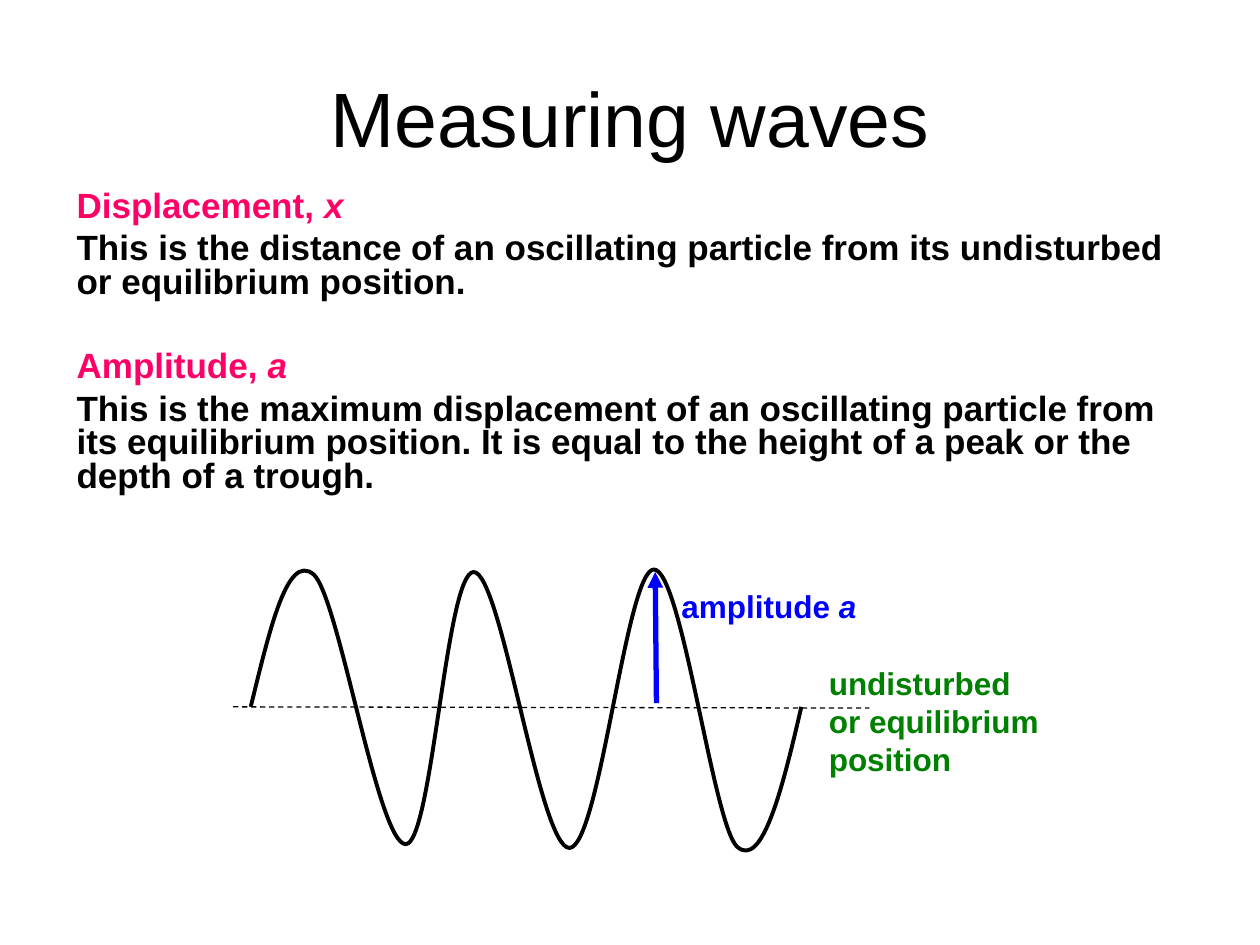
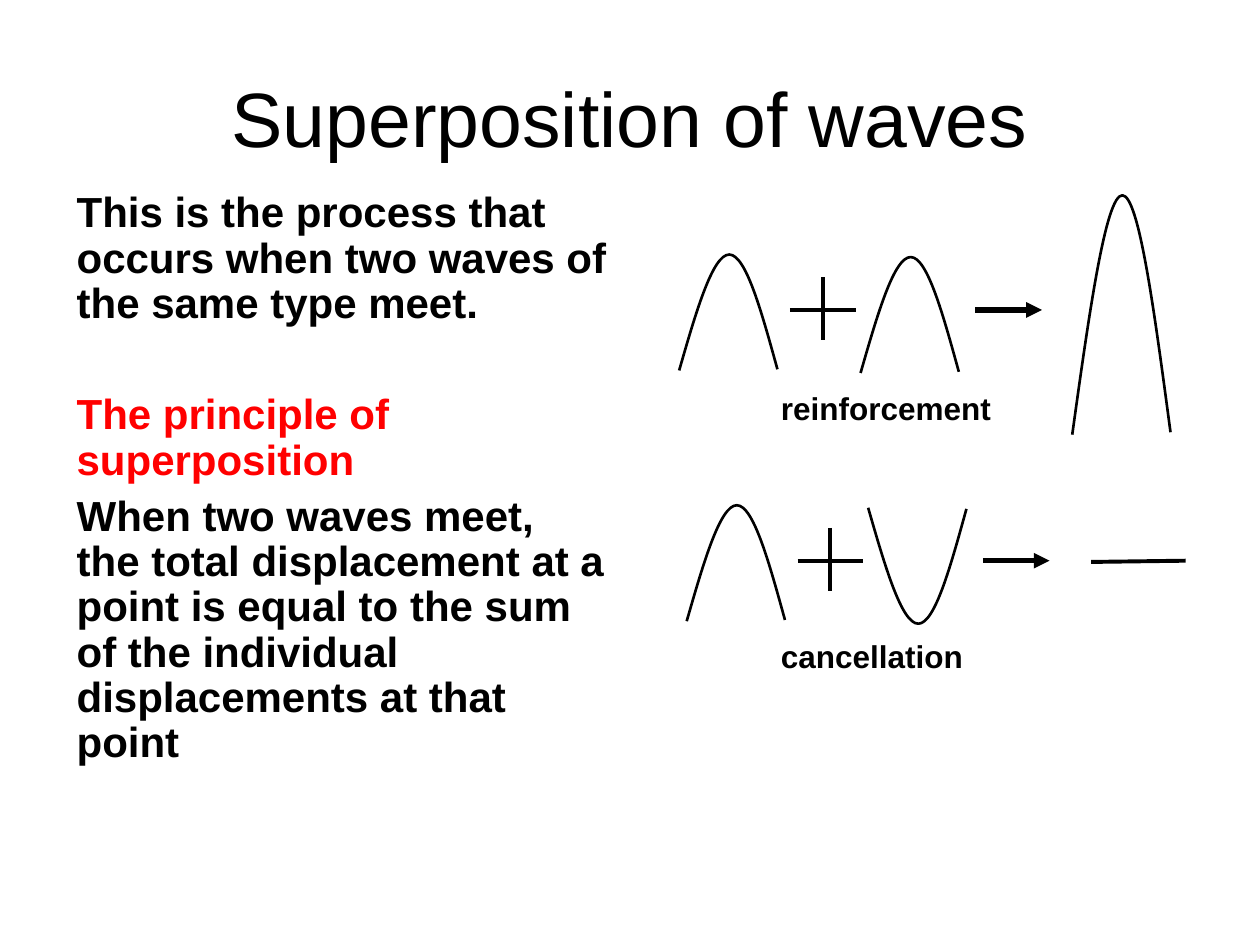
from lxml import etree
from pptx import Presentation
from pptx.dml.color import RGBColor
from pptx.enum.dml import MSO_LINE
from pptx.enum.shapes import MSO_CONNECTOR
from pptx.enum.text import MSO_ANCHOR, PP_ALIGN
from pptx.oxml.ns import qn
from pptx.util import Inches, Pt

STRAIGHT = MSO_CONNECTOR.STRAIGHT
DASH = MSO_LINE.DASH
MIDDLE, TOP = MSO_ANCHOR.MIDDLE, MSO_ANCHOR.TOP
CENTER, LEFT = PP_ALIGN.CENTER, PP_ALIGN.LEFT

BLACK = RGBColor(0x00, 0x00, 0x00)
PINK = RGBColor(0xFF, 0x00, 0x66)
RED = RGBColor(0xFF, 0x00, 0x00)
BLUE = RGBColor(0x00, 0x00, 0xFF)
GREEN = RGBColor(0x00, 0x80, 0x00)

FONT = "Arial"
PULSE = [(0, 1), (0.17, 0.5), (0.34, 0), (0.51, 0), (0.68, 0), (0.84, 0.5), (1, 0.99)]
WAVE = [
    (0, 1.23), (0.15, 0.62), (0.29, 0), (0.5, 0.18),
    (0.7, 0.36), (1.01, 2.32), (1.23, 2.32),
    (1.44, 2.32), (1.55, 0.16), (1.77, 0.16),
    (1.99, 0.16), (2.29, 2.35), (2.53, 2.35),
    (2.77, 2.34), (2.98, 0.14), (3.2, 0.14),
    (3.42, 0.14), (3.67, 2.16), (3.86, 2.34),
    (4.06, 2.52), (4.22, 1.88), (4.37, 1.23),
]


def add_text(slide, box, lines, size, bold=True, align=LEFT, anchor=TOP, spacing=None):
    """Add a text box from lines of (text, italic ending, colour, space before)."""
    shape = slide.shapes.add_textbox(*map(Inches, box))
    frame = shape.text_frame
    frame.word_wrap = True
    frame.vertical_anchor = anchor
    for index, (text, italic_ending, color, space_before) in enumerate(lines):
        paragraph = frame.paragraphs[0] if index == 0 else frame.add_paragraph()
        paragraph.alignment = align
        paragraph.space_before = Pt(space_before)
        if spacing:
            paragraph.line_spacing = spacing
        paragraph.add_run().text = text
        if italic_ending:
            ending = paragraph.add_run()
            ending.text = italic_ending
            ending.font.italic = True
        font = paragraph.font
        font.name, font.size, font.bold = FONT, Pt(size), bold
        font.color.rgb = color


def add_title(slide, text):
    """Add the centred slide title."""
    add_text(slide, (0.5, 0.3, 9, 1.25), [(text, "", BLACK, 0)], 44,
             bold=False, align=CENTER, anchor=MIDDLE)


def add_line(slide, start, end, width, color=BLACK, dash=None, arrow=False):
    """Add a straight line, with an arrowhead at its end on request."""
    connector = slide.shapes.add_connector(STRAIGHT, *map(Inches, (*start, *end)))
    connector.line.color.rgb = color
    connector.line.width = Pt(width)
    if dash:
        connector.line.dash_style = dash
    if arrow:
        outline = connector.line._get_or_add_ln()
        etree.SubElement(outline, qn("a:tailEnd"), type="triangle")
    etree.SubElement(connector._element.spPr, qn("a:effectLst"))


def bend_segments(curve):
    """Turn every three line segments of a freeform into one cubic Bezier."""
    segments = list(curve._element.iter(qn("a:lnTo")))
    for first in range(0, len(segments), 3):
        bezier = etree.Element(qn("a:cubicBezTo"))
        segments[first].addprevious(bezier)
        for segment in segments[first:first + 3]:
            bezier.append(segment[0])
            segment.getparent().remove(segment)


def add_curve(slide, left, top, controls, width):
    """Draw an open, unfilled curve with controls relative to left and top."""
    points = [(Inches(left + x), Inches(top + y)) for x, y in controls]
    builder = slide.shapes.build_freeform(*points[0])
    builder.add_line_segments(points[1:], close=False)
    curve = builder.convert_to_shape()
    bend_segments(curve)
    curve.shadow.inherit = False
    curve.fill.background()
    curve.line.color.rgb = BLACK
    curve.line.width = Pt(width)


def add_pulse(slide, left, top, height=0.92, inverted=False):
    """Draw a single crest, or a trough when inverted."""
    controls = [(0.78 * x, height * (1 - y if inverted else y)) for x, y in PULSE]
    add_curve(slide, left, top, controls, 1.5)


def add_amplitude_diagram(slide, left, top):
    """Draw the wave with its equilibrium line and amplitude arrow."""
    add_line(slide, (left, top + 1.23), (left + 5.05, top + 1.24), 0.75, dash=DASH)
    add_line(slide, (left + 3.36, top + 1.2), (left + 3.35, top + 0.16), 3, BLUE, arrow=True)
    add_text(slide, (left + 3.46, top + 0.23, 1.81, 0.44), [("amplitude ", "a", BLUE, 0)], 18)
    equilibrium = ("undisturbed", "or equilibrium", "position")
    add_text(slide, (left + 4.63, top + 0.84, 1.9, 1.12),
             [(text, "", GREEN, 0) for text in equilibrium], 18)
    add_curve(slide, left + 0.14, top, WAVE, 2.25)


def add_pulse_sum(slide, left, top, inverted=False):
    """Draw pulse plus pulse and the arrow leading to their result."""
    middle = top + 0.44
    add_pulse(slide, left, top)
    add_line(slide, (left + 1.14, top + 0.18), (left + 1.14, top + 0.68), 2.25)
    add_line(slide, (left + 0.88, middle), (left + 1.4, middle), 2.25)
    add_line(slide, (left + 2.35, middle), (left + 2.88, middle), 3, arrow=True)
    add_pulse(slide, left + 1.44, top + 0.02, inverted=inverted)


def add_superposition_diagram(slide, left, top):
    """Draw reinforcement above cancellation."""
    add_pulse_sum(slide, left, top + 0.47)
    add_pulse(slide, left + 3.12, top, height=1.9)
    add_pulse_sum(slide, left + 0.06, top + 2.46, inverted=True)
    add_line(slide, (left + 3.27, top + 2.91), (left + 4.02, top + 2.9), 2.25)
    for caption, offset in (("reinforcement", 1.49), ("cancellation", 3.46)):
        add_text(slide, (left + 0.71, top + offset, 2.27, 0.56), [(caption, "", BLACK, 0)], 18)


def build_measuring_slide(slide):
    """Build the slide on displacement and amplitude."""
    add_title(slide, "Measuring waves")
    add_text(slide, (0.51, 1.47, 8.9, 2.68), [
        ("Displacement, ", "x", PINK, 0),
        ("This is the distance of an oscillating particle from its undisturbed "
         "or equilibrium position.", "", BLACK, 5),
        ("Amplitude, ", "a", PINK, 29),
        ("This is the maximum displacement of an oscillating particle from its "
         "equilibrium position. It is equal to the height of a peak or the "
         "depth of a trough.", "", BLACK, 5),
    ], 20, spacing=0.8)
    add_amplitude_diagram(slide, 1.85, 4.38)


def build_superposition_slide(slide):
    """Build the slide on the principle of superposition."""
    add_title(slide, "Superposition of waves")
    add_text(slide, (0.51, 1.47, 4.41, 4.95), [
        ("This is the process that occurs when two waves of the same type meet.", "", BLACK, 0),
        ("The principle of superposition", "", RED, 37.8),
        ("When two waves meet, the total displacement at a point is equal to the sum "
         "of the individual displacements at that point", "", BLACK, 6),
    ], 24, spacing=0.9)
    add_superposition_diagram(slide, 5.39, 1.55)


def main():
    """Create the presentation and save it."""
    presentation = Presentation()
    presentation.slide_width = Inches(10)
    presentation.slide_height = Inches(7.5)
    blank = presentation.slide_layouts[6]
    for build in (build_measuring_slide, build_superposition_slide):
        build(presentation.slides.add_slide(blank))
    presentation.save("out.pptx")


if __name__ == "__main__":
    main()
